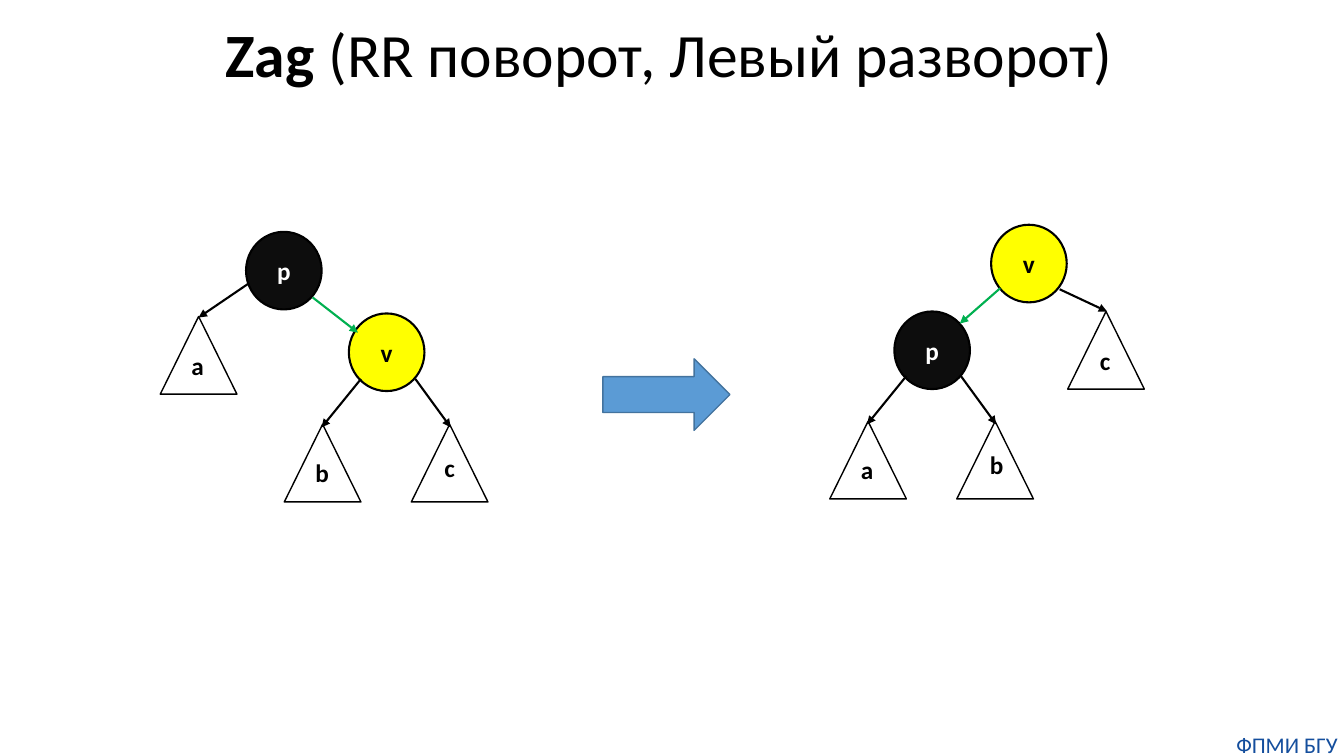
"""Draw the Zag rotation: two search trees with an arrow between them."""
from dataclasses import dataclass

from lxml.etree import SubElement
from pptx import Presentation
from pptx.dml.color import RGBColor
from pptx.enum.shapes import MSO_CONNECTOR as Conn, MSO_SHAPE as Kind
from pptx.enum.text import MSO_ANCHOR as Anchor, PP_ALIGN as Align
from pptx.oxml.ns import qn
from pptx.shapes.autoshape import Shape
from pptx.slide import Slide
from pptx.text.text import Font
from pptx.util import Inches, Pt

BLACK = RGBColor(0x00, 0x00, 0x00)
WHITE = RGBColor(0xFF, 0xFF, 0xFF)
DARK = RGBColor(0x0D, 0x0D, 0x0D)
YELLOW = RGBColor(0xFF, 0xFF, 0x00)
GREEN = RGBColor(0x00, 0xB0, 0x50)
BLUE = RGBColor(0x5B, 0x9B, 0xD5)
STEEL = RGBColor(0x43, 0x73, 0x9E)
NAVY = RGBColor(0x14, 0x4E, 0x9D)


@dataclass(frozen=True)
class Node:
    name: str
    left: float
    top: float
    fill: RGBColor
    ink: RGBColor


@dataclass(frozen=True)
class Leaf:
    name: str
    left: float
    top: float
    dx: float
    dy: float


@dataclass(frozen=True)
class Edge:
    x1: float
    y1: float
    x2: float
    y2: float
    color: RGBColor = BLACK


NODES = [
    Node("p", 2.44, 2.3, DARK, WHITE),
    Node("v", 3.46, 3.11, YELLOW, BLACK),
    Node("v", 9.83, 2.23, YELLOW, BLACK),
    Node("p", 8.87, 3.09, DARK, WHITE),
]
LEAVES = [
    Leaf("a", 1.59, 3.14, 0.21, 0.29),
    Leaf("b", 2.82, 4.21, 0.21, 0.28),
    Leaf("c", 4.08, 4.21, 0.23, 0.23),
    Leaf("a", 8.23, 4.18, 0.21, 0.28),
    Leaf("b", 9.49, 4.18, 0.23, 0.23),
    Leaf("c", 10.59, 3.09, 0.22, 0.29),
]
EDGES = [
    Edge(2.47, 2.81, 1.97, 3.15),
    Edge(3.1, 2.95, 3.55, 3.3, GREEN),
    Edge(3.58, 3.76, 3.19, 4.24),
    Edge(4.12, 3.76, 4.47, 4.24),
    Edge(9.92, 2.86, 9.52, 3.21, GREEN),
    Edge(10.51, 2.87, 10.98, 3.09),
    Edge(8.99, 3.73, 8.6, 4.21),
    Edge(9.53, 3.73, 9.88, 4.21),
]


def style(font: Font, size: int, color: RGBColor) -> None:
    font.name, font.size = "Calibri", Pt(size)
    font.color.rgb = color


def add_shape(slide: Slide, kind: Kind, left: float, top: float, width: float,
              height: float, line: RGBColor, weight: float,
              fill: RGBColor | None = None) -> Shape:
    shape = slide.shapes.add_shape(
        kind, Inches(left), Inches(top), Inches(width), Inches(height))
    shape.shadow.inherit = False
    if fill is None:
        shape.fill.background()
    else:
        shape.fill.solid()
        shape.fill.fore_color.rgb = fill
    shape.line.color.rgb = line
    shape.line.width = Pt(weight)
    return shape


def add_text(slide: Slide, left: float, top: float, width: float,
             height: float) -> Shape:
    box = slide.shapes.add_textbox(
        Inches(left), Inches(top), Inches(width), Inches(height))
    box.text_frame.word_wrap = True
    return box


def add_node(slide: Slide, node: Node) -> None:
    disc = add_shape(slide, Kind.OVAL, node.left, node.top, 0.75, 0.77,
                     BLACK, 1.5, node.fill)
    frame = disc.text_frame
    frame.vertical_anchor = Anchor.MIDDLE
    para = frame.paragraphs[0]
    para.text, para.alignment = node.name, Align.CENTER
    style(para.font, 18, node.ink)
    para.font.bold = True


def add_leaf(slide: Slide, leaf: Leaf) -> None:
    add_shape(slide, Kind.ISOSCELES_TRIANGLE, leaf.left, leaf.top, 0.76, 0.77,
              BLACK, 1)
    box = add_text(slide, leaf.left + leaf.dx, leaf.top + leaf.dy, 0.33, 0.4)
    para = box.text_frame.paragraphs[0]
    para.text = leaf.name
    style(para.font, 18, BLACK)
    para.font.bold = True


def add_edge(slide: Slide, edge: Edge) -> None:
    link = slide.shapes.add_connector(
        Conn.STRAIGHT, Inches(edge.x1), Inches(edge.y1),
        Inches(edge.x2), Inches(edge.y2))
    link.line.color.rgb = edge.color
    link.line.width = Pt(1.5)
    SubElement(link.line._get_or_add_ln(), qn("a:tailEnd"), type="triangle")
    SubElement(link._element.spPr, qn("a:effectLst"))


def add_title(slide: Slide) -> None:
    frame = add_text(slide, 2.14, -0.15, 9.05, 1.45).text_frame
    frame.vertical_anchor = Anchor.MIDDLE
    para = frame.paragraphs[0]
    style(para.font, 44, BLACK)
    para.line_spacing = 0.9
    for text, bold in (("Zag ", True), ("(RR поворот, Левый разворот)", False)):
        run = para.add_run()
        run.text, run.font.bold = text, bold


def add_footer(slide: Slide) -> None:
    frame = add_text(slide, 12.2, 7.25, 1.13, 0.27).text_frame
    frame.margin_left = frame.margin_right = 0
    frame.margin_top = frame.margin_bottom = 0
    para = frame.paragraphs[0]
    para.text, para.alignment = "ФПМИ БГУ", Align.CENTER
    style(para.font, 16, NAVY)


def main() -> None:
    deck = Presentation()
    deck.slide_width, deck.slide_height = Inches(13.33), Inches(7.5)
    slide = deck.slides.add_slide(deck.slide_layouts[6])
    add_footer(slide)
    add_title(slide)
    for node in NODES:
        add_node(slide, node)
    for leaf in LEAVES:
        add_leaf(slide, leaf)
    for edge in EDGES:
        add_edge(slide, edge)
    add_shape(slide, Kind.RIGHT_ARROW, 5.98, 3.56, 1.26, 0.71, STEEL, 1, BLUE)
    deck.save("out.pptx")


if __name__ == "__main__":
    main()
